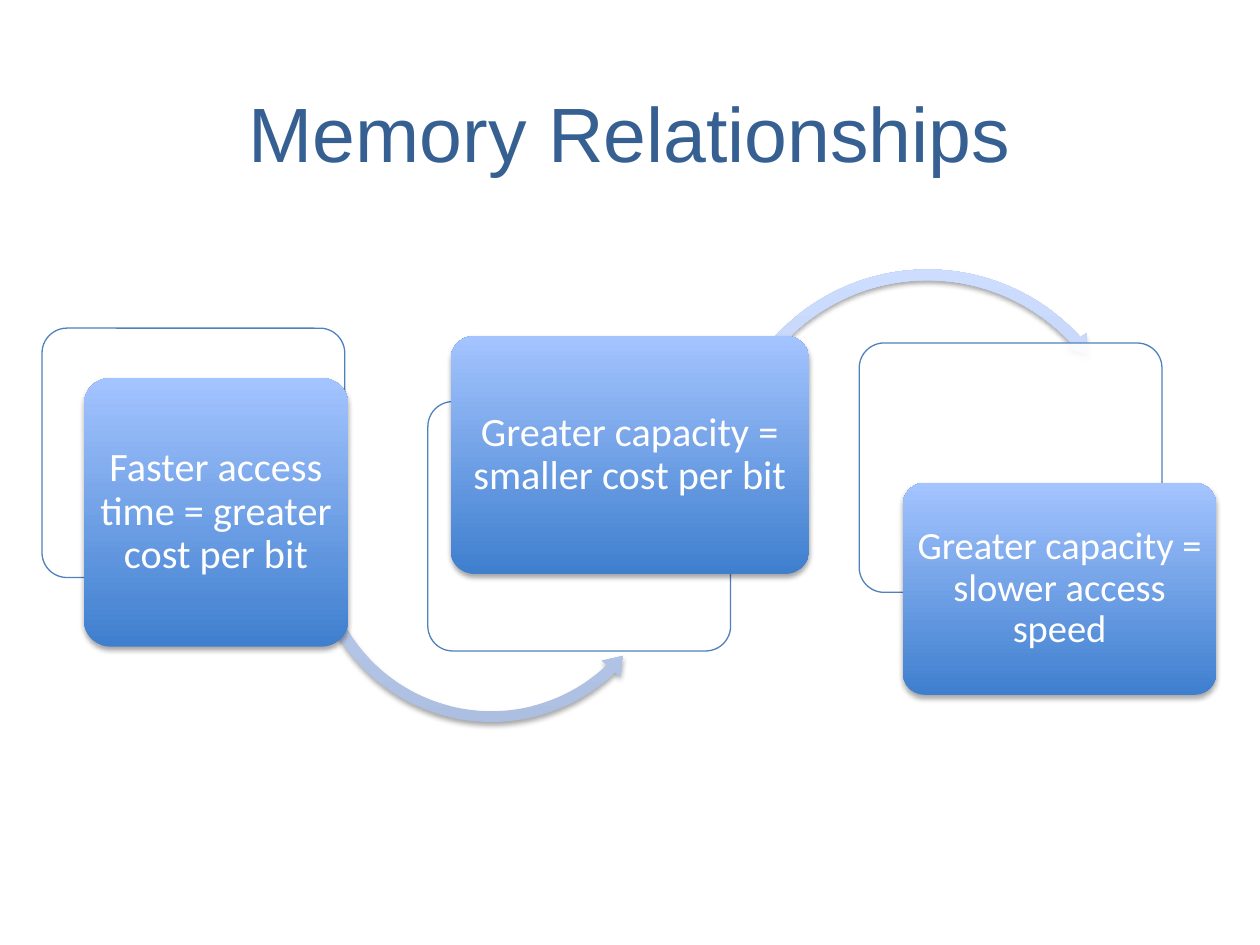
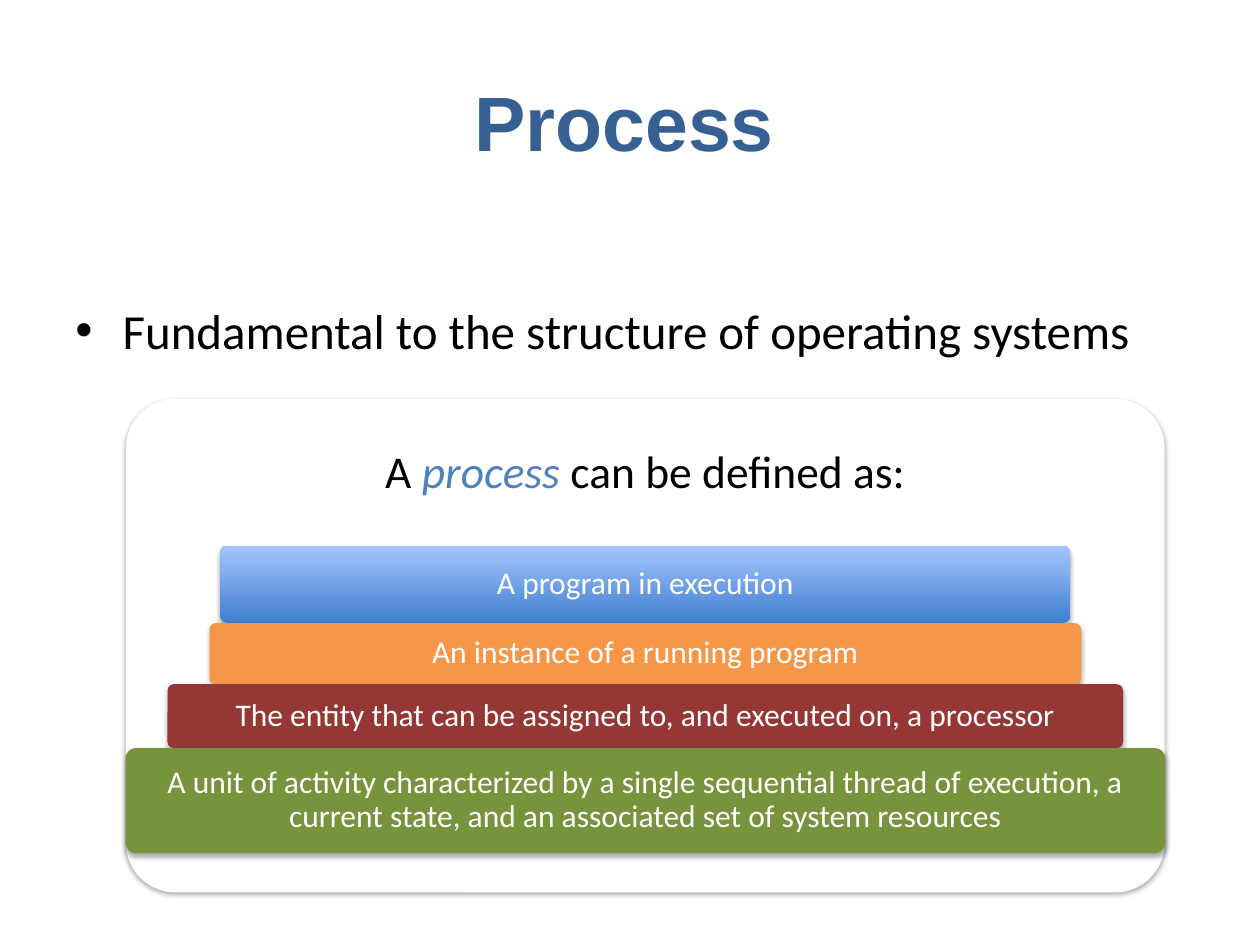
"""Build two slides on memory relationships and the definition of a process."""
from lxml.etree import SubElement
from pptx import Presentation
from pptx.dml.color import RGBColor
from pptx.enum.shapes import MSO_SHAPE
from pptx.enum.text import MSO_ANCHOR, PP_ALIGN
from pptx.oxml.ns import qn
from pptx.util import Pt

WHITE = RGBColor(0xFF, 0xFF, 0xFF)
BLACK = RGBColor(0x00, 0x00, 0x00)
NAVY = RGBColor(0x37, 0x60, 0x92)
BLUE = RGBColor(0x4F, 0x81, 0xBD)
ORANGE = RGBColor(0xF7, 0x96, 0x46)
RED = RGBColor(0x95, 0x37, 0x35)
GREEN = RGBColor(0x77, 0x93, 0x3C)
CARD_GRADIENT = (RGBColor(0x3F, 0x7F, 0xCE), RGBColor(0xA4, 0xC4, 0xFF))
ARROW_GRADIENT = (RGBColor(0xAD, 0xBF, 0xE1), RGBColor(0xCC, 0xDD, 0xFF))

FRAME_SIZE = (173, 142.5)
RELATIONSHIPS = [
    {"text": "Faster access time = greater cost per bit", "size": 23,
     "frame": (24, 187.5), "card": (48, 216, 151, 153.5),
     "arrow": (MSO_SHAPE.LEFT_CIRCULAR_ARROW, (174.5, 204, 212.5, 212.5),
               (0.029, 3.507, 27.823, 96.805, 0.033))},
    {"text": "Greater capacity = smaller cost per bit", "size": 23,
     "frame": (244.5, 229.5), "card": (257.5, 192, 205, 136),
     "arrow": (MSO_SHAPE.CIRCULAR_ARROW, (408, 150, 244, 244),
               (0.025, 3.028, 190.639, 121.178, 0.029))},
    {"text": "Greater capacity = slower access speed", "size": 22,
     "frame": (491, 196), "card": (516, 276, 179, 121), "arrow": None},
]

PANEL = (72, 228, 593.5, 282)
PANEL_HEADING = [("A ", BLACK, False), ("process ", BLUE, True),
                 ("can be defined as:", BLACK, False)]
BARS_TOP = 312
DEFINITIONS = [
    ("A program in execution", 486, 44, CARD_GRADIENT),
    ("An instance of a running program", 498, 35, ORANGE),
    ("The entity that can be assigned to, and executed on, a processor",
     546, 36.5, RED),
    ("A unit of activity characterized by a single sequential thread of "
     "execution, a current state, and an associated set of system resources",
     594, 60, GREEN),
]


def write(shape, text, size, color=WHITE, font="Calibri", bold=False,
          align=PP_ALIGN.CENTER, anchor=MSO_ANCHOR.MIDDLE, margins=(7.2, 3.6),
          spacing=None, bullet=None):
    """Fill a shape with one paragraph, given as a string or as styled spans."""
    frame = shape.text_frame
    frame.word_wrap = True
    frame.vertical_anchor = anchor
    frame.margin_left = frame.margin_right = Pt(margins[0])
    frame.margin_top = frame.margin_bottom = Pt(margins[1])
    para = frame.paragraphs[0]
    para.alignment = align
    if spacing:
        para.line_spacing = spacing
    if bullet:
        properties = para._p.get_or_add_pPr()
        properties.set("marL", str(Pt(27)))
        properties.set("indent", str(-Pt(27)))
        SubElement(properties, qn("a:buFont"), typeface="Arial")
        SubElement(properties, qn("a:buChar"), char=bullet)
    spans = [(text, color, False)] if isinstance(text, str) else text
    for words, span_color, italic in spans:
        span = para.add_run()
        span.text = words
        span.font.name = font
        span.font.size = Pt(size)
        span.font.bold = bold
        span.font.italic = italic
        span.font.color.rgb = span_color


def add_text(page, area, text, size, **style):
    """Add a text box over an area."""
    write(page.shapes.add_textbox(*map(Pt, area)), text, size, **style)


def add_figure(page, kind, area, fill, adjustments=(0.1,), shadow=True):
    """Add a preset shape with a solid or two-colour gradient fill."""
    shape = page.shapes.add_shape(kind, *map(Pt, area))
    for index, value in enumerate(adjustments):
        shape.adjustments[index] = value
    if isinstance(fill, RGBColor):
        shape.fill.solid()
        shape.fill.fore_color.rgb = fill
    else:
        shape.fill.gradient()
        shape.fill.gradient_angle = 90
        for stop, color, position in zip(shape.fill.gradient_stops, fill, (0, 1)):
            stop.color.rgb = color
            stop.position = position
    shape.line.fill.background()
    shape.shadow.inherit = False
    if shadow:
        effects = shape._element.spPr.find(qn("a:effectLst"))
        outer = SubElement(effects, qn("a:outerShdw"), blurRad=str(Pt(3.1)),
                           dist=str(Pt(1.8)), dir="5400000", rotWithShape="0")
        tint = SubElement(outer, qn("a:srgbClr"), val=str(BLACK))
        SubElement(tint, qn("a:alpha"), val="35000")
    return shape


def add_frame(page, corner):
    """Add a thin outlined, nearly opaque white frame."""
    frame = add_figure(page, MSO_SHAPE.ROUNDED_RECTANGLE, corner + FRAME_SIZE,
                       WHITE, shadow=False)
    tint = frame._element.spPr.find(qn("a:solidFill"))[0]
    SubElement(tint, qn("a:alpha"), val="90000")
    frame.line.color.rgb = BLUE
    frame.line.width = Pt(0.75)


def add_title(page, area, text, **style):
    """Add a slide title in the shared title style."""
    add_text(page, area, text, 44, color=NAVY, font="Arial", **style)


def add_card(page, area, fill, text, size, margins):
    """Add a filled rounded card with centred white text."""
    card = add_figure(page, MSO_SHAPE.ROUNDED_RECTANGLE, area, fill)
    write(card, text, size, margins=margins, spacing=0.9)


def build_memory(page):
    """Draw the three memory relationships."""
    add_title(page, (52, 36, 616, 78), "Memory Relationships")
    for item in RELATIONSHIPS:
        add_frame(page, item["frame"])
        if item["arrow"]:
            kind, area, adjustments = item["arrow"]
            add_figure(page, kind, area, ARROW_GRADIENT, adjustments)
        add_card(page, item["card"], CARD_GRADIENT, item["text"], item["size"],
                 (3.6, 2.2))


def build_process(page):
    """Draw the definitions of a process as a widening stack."""
    add_title(page, (264, 18, 440, 102), "Process", bold=True, align=PP_ALIGN.LEFT)
    add_text(page, (36, 168, 648, 336),
             "Fundamental to the structure of operating systems", 28, color=BLACK,
             align=PP_ALIGN.LEFT, anchor=MSO_ANCHOR.TOP, bullet="•")
    add_figure(page, MSO_SHAPE.ROUNDED_RECTANGLE, PANEL, WHITE)
    left, top, width, _ = PANEL
    add_text(page, (left, top, width, 85), PANEL_HEADING, 26, margins=(8, 8),
             spacing=0.9)
    center = left + width / 2
    bar_top = BARS_TOP
    for text, bar_width, height, fill in DEFINITIONS:
        add_card(page, (center - bar_width / 2, bar_top, bar_width, height), fill,
                 text, 18, (3.6, 2.7))
        bar_top += height


def main():
    """Build and save the deck."""
    deck = Presentation()
    deck.slide_width, deck.slide_height = Pt(720), Pt(540)
    for build in (build_memory, build_process):
        build(deck.slides.add_slide(deck.slide_layouts[6]))
    deck.save("out.pptx")


if __name__ == "__main__":
    main()
